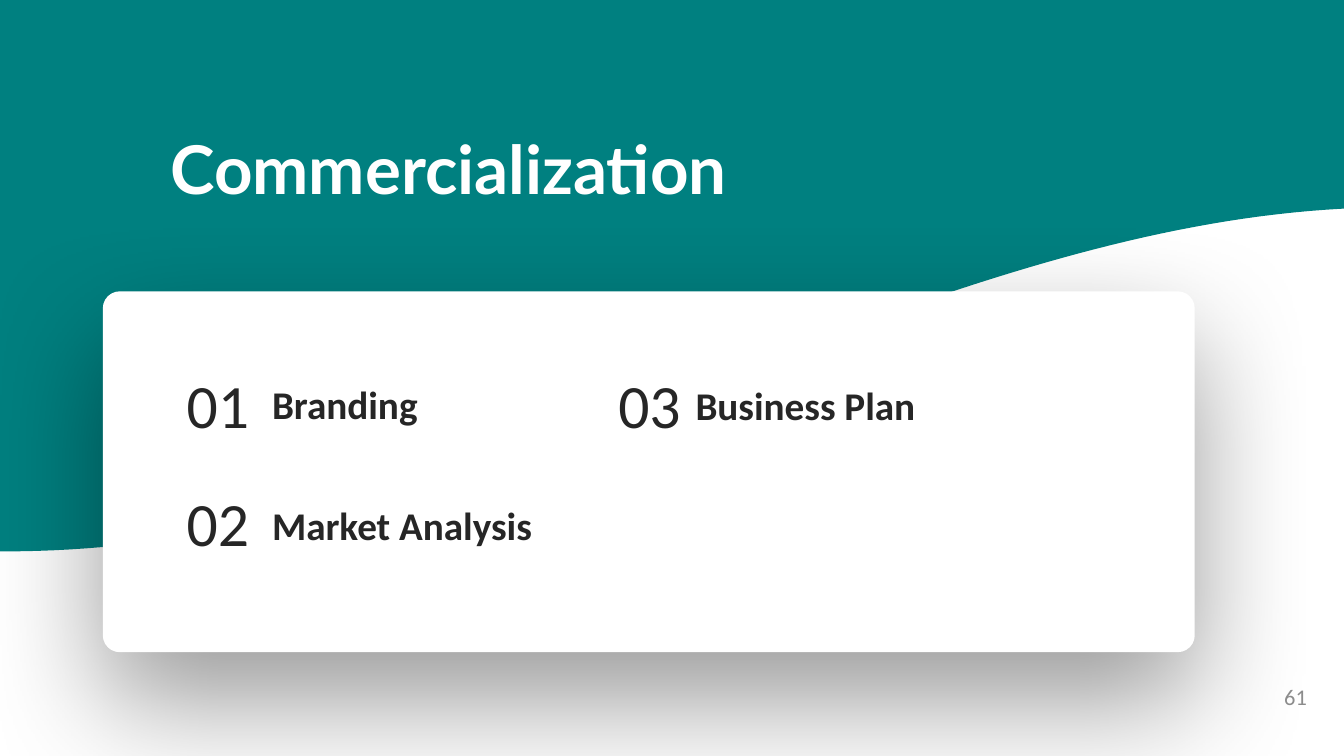
from lxml import etree
from pptx import Presentation
from pptx.dml.color import RGBColor
from pptx.enum.shapes import MSO_SHAPE
from pptx.enum.text import MSO_ANCHOR, PP_ALIGN
from pptx.oxml.ns import qn
from pptx.util import Inches, Pt

ROUNDED = MSO_SHAPE.ROUNDED_RECTANGLE
TOP, MIDDLE = MSO_ANCHOR.TOP, MSO_ANCHOR.MIDDLE
LEFT, RIGHT = PP_ALIGN.LEFT, PP_ALIGN.RIGHT
TEAL, WHITE, INK, GRAY = "008080", "FFFFFF", "262626", "8C8C8C"
WIDTH, HEIGHT = 13.33, 7.5
WAVE = [(WIDTH, 2.07), (8.91, 2.3), (4.69, 5.5), (0, 5.47)]
WAVE_STEPS = 80
NUMBER_SIZE = (1.09, 0.84)
AGENDA = [
    ("01", (1.48, 3.59), "Branding", (2.6, 3.81, 3.5, 0.48)),
    ("02", (1.48, 4.76), "Market Analysis", (2.6, 5.01, 3.5, 0.48)),
    ("03", (5.76, 3.59), "Business Plan", (6.8, 3.82, 4.85, 0.49)),
]


def color(value):
    return RGBColor.from_string(value)


def paint(shape, fill):
    shape.shadow.inherit = False
    shape.fill.solid()
    shape.fill.fore_color.rgb = color(fill)
    shape.line.fill.background()


def wave_point(t):
    weights = ((1 - t) ** 3, 3 * t * (1 - t) ** 2, 3 * t * t * (1 - t), t ** 3)
    return tuple(
        Inches(sum(weight * point[axis] for weight, point in zip(weights, WAVE)))
        for axis in (0, 1)
    )


def add_wave_banner(page):
    builder = page.shapes.build_freeform(0, 0)
    curve = [wave_point(step / WAVE_STEPS) for step in range(WAVE_STEPS + 1)]
    builder.add_line_segments([(Inches(WIDTH), 0)] + curve, close=True)
    paint(builder.convert_to_shape(), TEAL)


def add_soft_shadow(shape, blur, distance, opacity):
    effects = shape.element.spPr.find(qn("a:effectLst"))
    shadow = etree.SubElement(
        effects, qn("a:outerShdw"), blurRad=str(Pt(blur)), dist=str(Pt(distance)),
        dir="5400000", algn="ctr", rotWithShape="0",
    )
    black = etree.SubElement(shadow, qn("a:srgbClr"), val="000000")
    etree.SubElement(black, qn("a:alpha"), val=str(opacity * 1000))


def add_card(page):
    card = page.shapes.add_shape(ROUNDED, *map(Inches, (1.02, 2.89, 10.83, 3.58)))
    card.adjustments[0] = 0.047
    paint(card, WHITE)
    add_soft_shadow(card, blur=89, distance=35, opacity=40)


def write(box, text, size, fill, font="Calibri", bold=False, align=LEFT,
          anchor=TOP, spacing=1.0):
    frame = box.text_frame
    frame.text = text
    frame.word_wrap = True
    frame.vertical_anchor = anchor
    para = frame.paragraphs[0]
    para.alignment = align
    para.line_spacing = spacing
    span = para.runs[0]
    span.font.name = font
    span.font.size = Pt(size)
    span.font.bold = bold
    span.font.color.rgb = color(fill)


def add_text(page, area, text, size, fill, **style):
    box = page.shapes.add_textbox(*map(Inches, area))
    write(box, text, size, fill, **style)


def place_title(page, text):
    title = page.shapes.title
    title.left, title.top, title.width, title.height = map(
        Inches, (1.59, 1.21, 6.21, 0.91))
    write(title, text, 48, WHITE, font="Lato", bold=True)
    page.shapes.element.append(title.element)


def add_agenda_item(page, number, corner, label, label_area):
    add_text(page, corner + NUMBER_SIZE, number, 44, INK, align=RIGHT, anchor=MIDDLE)
    add_text(page, label_area, label, 28, INK, bold=True, spacing=0.8)


def main():
    deck = Presentation()
    deck.slide_width, deck.slide_height = Inches(WIDTH), Inches(HEIGHT)
    page = deck.slides.add_slide(deck.slide_layouts[5])
    page.background.fill.solid()
    page.background.fill.fore_color.rgb = color(WHITE)
    add_wave_banner(page)
    add_card(page)
    place_title(page, "Commercialization")
    for item in AGENDA:
        add_agenda_item(page, *item)
    add_text(page, (10.09, 6.71, 2.97, 0.4), "61", 16, GRAY, align=RIGHT, anchor=MIDDLE)
    deck.save("out.pptx")


if __name__ == "__main__":
    main()
